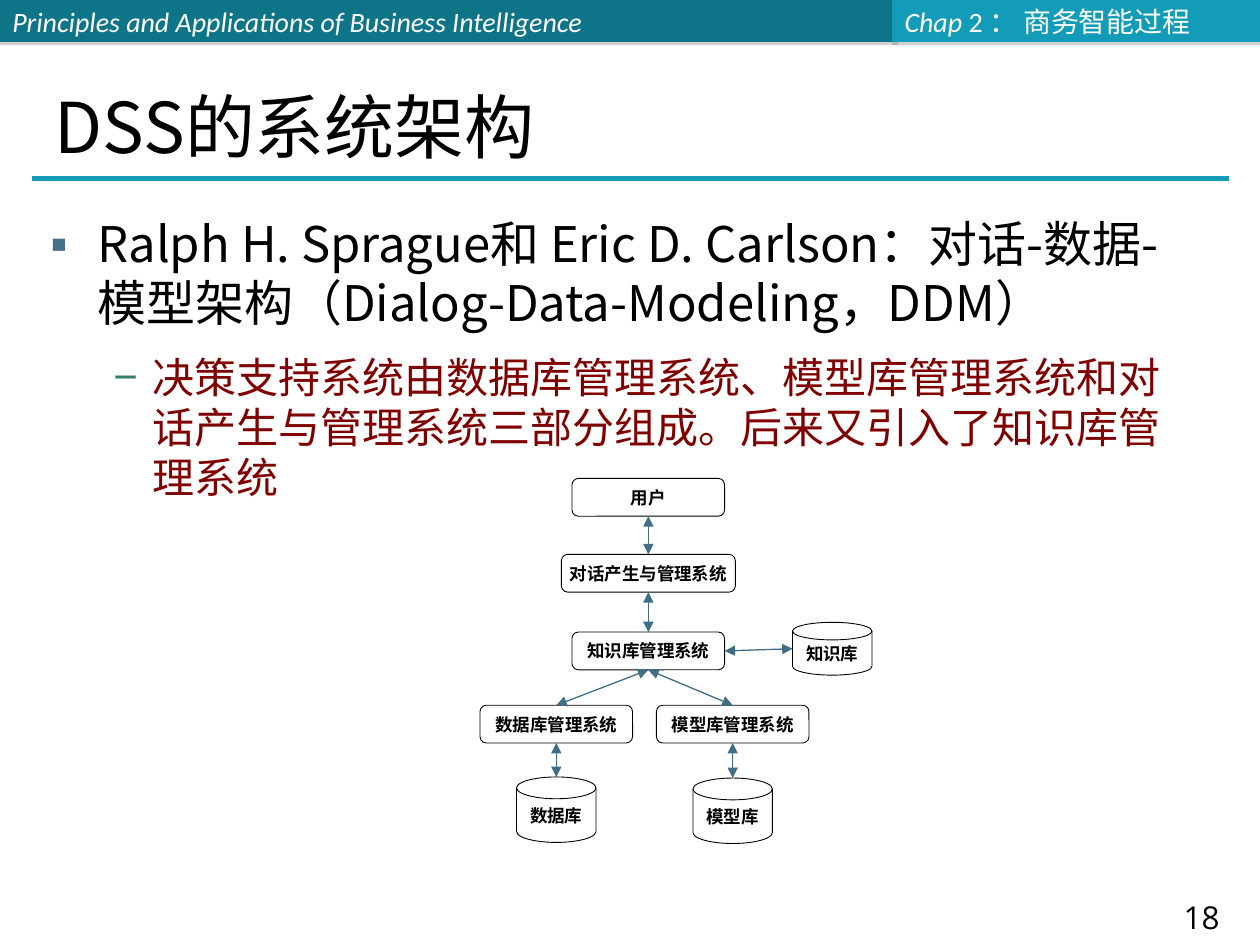
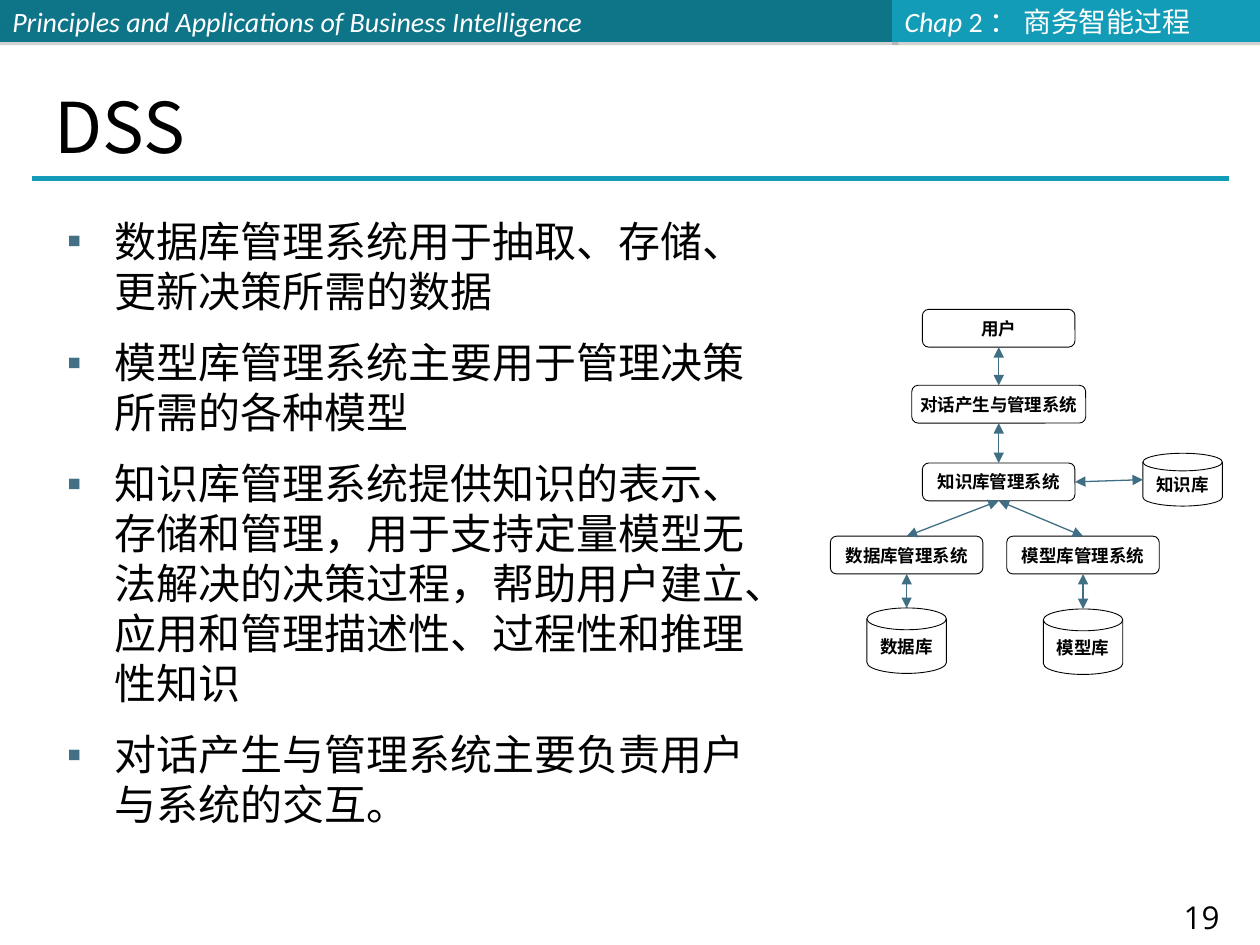
from lxml.etree import SubElement
from pptx import Presentation
from pptx.dml.color import RGBColor
from pptx.enum.shapes import MSO_CONNECTOR, MSO_SHAPE
from pptx.enum.text import MSO_ANCHOR, MSO_AUTO_SIZE, PP_ALIGN
from pptx.oxml.ns import qn
from pptx.util import Pt

# Shared look
DARK_TEAL, TEAL, ARROW_BLUE = "0E7589", "139CB7", "406E84"
BLACK, WHITE, MAROON, SHADOW_GRAY = "000000", "FFFFFF", "800000", "808080"
CJK_FONT = "Noto Sans CJK SC"
BAND_TEXT = {"name": "Calibri", "size": Pt(16), "color": WHITE}
NODE_TEXT = {"name": "Calibri", "size": Pt(10), "bold": True, "color": BLACK}
NUMBER_TEXT = {"name": "Open Sans", "size": Pt(18), "color": BLACK}
TITLE_TEXT = {"name": CJK_FONT, "size": Pt(40), "color": BLACK}
PLAIN_FRAME = {"word_wrap": True, "auto_size": MSO_AUTO_SIZE.NONE}
LINE_HEIGHT = 1.19  # line pitch relative to the text size

# List levels: left indent, hanging indent, bullet, bullet colour
LEVELS = [(27, 27, "▪", "437085"), (58.3, 22.3, "−", "357E69")]

# Diagram nodes: centre x, top, width, height, relative to the diagram's corner
BOX, DISK = MSO_SHAPE.ROUNDED_RECTANGLE, MSO_SHAPE.FLOWCHART_MAGNETIC_DISK
NODES = {
    "数据库": (DISK, 43.6, 170.6, 45.4, 37.4),
    "模型库": (DISK, 144.4, 171.2, 45.4, 37.4),
    "知识库": (DISK, 201.3, 82.2, 45.4, 30.2),
    "数据库管理系统": (BOX, 43.6, 129.6, 87.2, 21.6),
    "模型库管理系统": (BOX, 144.4, 129.6, 87.2, 21.6),
    "知识库管理系统": (BOX, 96.2, 87.8, 87.2, 21.6),
    "对话产生与管理系统": (BOX, 96.2, 43.4, 99.4, 21.6),
    "用户": (BOX, 96.2, 0, 87.2, 21.6),
}
# Links run from the top of the lower node to the bottom of the upper one
VERTICAL_LINKS = [
    ("数据库", "数据库管理系统"),
    ("模型库", "模型库管理系统"),
    ("数据库管理系统", "知识库管理系统"),
    ("模型库管理系统", "知识库管理系统"),
    ("知识库管理系统", "对话产生与管理系统"),
    ("对话产生与管理系统", "用户"),
]

SLIDES = [
    {
        "number": 18,
        "title": "DSS的系统架构",
        "body_box": (21.6, 116, 664.5, 381),
        "items": [
            (0, 28, BLACK, "Ralph H. Sprague和 Eric D. Carlson：对话-数据-模型架构"
                           "（Dialog-Data-Modeling，DDM）"),
            (1, 24, MAROON, "决策支持系统由数据库管理系统、模型库管理系统和对话产生与管理系统"
                            "三部分组成。后来又引入了知识库管理系统"),
        ],
        "diagram_corner": (274.3, 273.4),
    },
    {
        "number": 19,
        "title": "DSS",
        "body_box": (31, 116.6, 422.6, 381),
        "items": [(0, 24, BLACK, text) for text in (
            "数据库管理系统用于抽取、存储、更新决策所需的数据",
            "模型库管理系统主要用于管理决策所需的各种模型",
            "知识库管理系统提供知识的表示、存储和管理，用于支持定量模型无法解决的"
            "决策过程，帮助用户建立、应用和管理描述性、过程性和推理性知识",
            "对话产生与管理系统主要负责用户与系统的交互。",
        )],
        "diagram_corner": (474.5, 176.8),
    },
]


def color(hex_text):
    return RGBColor.from_string(hex_text)


def set_values(target, values):
    for name, value in values.items():
        setattr(target, name, value)


def points(*lengths):
    return [Pt(length) for length in lengths]


def place(shape, box):
    set_values(shape, dict(zip(("left", "top", "width", "height"), points(*box))))


def add_run(paragraph, text, style, **extra):
    run = paragraph.add_run()
    run.text = text
    values = {**style, **extra}
    run.font.color.rgb = color(values.pop("color"))
    set_values(run.font, values)
    if values["name"] == CJK_FONT:
        SubElement(run.font._element, qn("a:ea"), typeface=CJK_FONT)


def add_filled_shape(shapes, kind, box, fill):
    shape = shapes.add_shape(kind, *points(*box))
    shape.shadow.inherit = False
    shape.fill.solid()
    shape.fill.fore_color.rgb = color(fill)
    shape.line.fill.background()
    shape.text_frame.vertical_anchor = MSO_ANCHOR.MIDDLE
    return shape


def add_line(shapes, start, end, line_color, width):
    connector = shapes.add_connector(MSO_CONNECTOR.STRAIGHT, *points(*start, *end))
    connector.line.color.rgb = color(line_color)
    connector.line.width = Pt(width)
    SubElement(connector._element.spPr, qn("a:effectLst"))
    return connector


def add_band(slide, box, fill, runs):
    band = add_filled_shape(slide.shapes, MSO_SHAPE.RECTANGLE, box, fill)
    effects = band._element.spPr.find(qn("a:effectLst"))
    shadow = SubElement(effects, qn("a:outerShdw"), dist=str(Pt(1.8)),
                        dir="5400000", rotWithShape="0")
    shade = SubElement(shadow, qn("a:srgbClr"), val=SHADOW_GRAY)
    SubElement(shade, qn("a:alpha"), val="35000")
    paragraph = band.text_frame.paragraphs[0]
    paragraph.alignment = PP_ALIGN.LEFT
    for text, italic in runs:
        add_run(paragraph, text, BAND_TEXT, italic=italic)


def add_frame(slide, number):
    # Header bands
    add_band(slide, (0, 0, 513.4, 24), DARK_TEAL,
             [("Principles and Applications of Business Intelligence", True)])
    add_band(slide, (509.8, 0, 211.7, 24), TEAL,
             [("Chap ", True), ("2 ： 商务智能过程", False)])
    # Page number
    number_box = slide.shapes.add_textbox(*points(648, 511, 72.7, 27.4))
    number_box.text_frame.word_wrap = True
    paragraph = number_box.text_frame.paragraphs[0]
    set_values(paragraph, {"alignment": PP_ALIGN.CENTER, "line_spacing": Pt(20)})
    add_run(paragraph, f" {number}", NUMBER_TEXT)
    # Rule under the title
    add_line(slide.shapes, (18, 102.2), (702, 102.2), TEAL, 3)


def fill_title(title, text):
    place(title, (24, 24, 672, 72))
    set_values(title.text_frame, {**PLAIN_FRAME, "vertical_anchor": MSO_ANCHOR.BOTTOM,
                                  "margin_bottom": 0})
    paragraph = title.text_frame.paragraphs[0]
    paragraph.alignment = PP_ALIGN.LEFT
    add_run(paragraph, text, TITLE_TEXT)


def add_bullet(paragraph, level):
    left, hanging, character, bullet_color = LEVELS[level]
    properties = paragraph._p.get_or_add_pPr()
    properties.set("marL", str(Pt(left)))
    properties.set("indent", str(-Pt(hanging)))
    bullet_fill = SubElement(properties, qn("a:buClr"))
    SubElement(bullet_fill, qn("a:srgbClr"), val=bullet_color)
    SubElement(properties, qn("a:buChar"), char=character)


def fill_list(body, box, items):
    place(body, box)
    frame = body.text_frame
    set_values(frame, {**PLAIN_FRAME, "margin_top": Pt(6.6)})
    for index, (level, size, text_color, text) in enumerate(items):
        paragraph = frame.add_paragraph() if index else frame.paragraphs[0]
        add_bullet(paragraph, level)
        set_values(paragraph, {"level": level, "space_before": Pt(12 if index else 0),
                               "line_spacing": Pt(round(size * LINE_HEIGHT, 1))})
        add_run(paragraph, text, {"name": CJK_FONT, "size": Pt(size), "color": text_color})


def add_node(shapes, kind, box, text):
    node = add_filled_shape(shapes, kind, box, WHITE)
    node.line.color.rgb = color(BLACK)
    node.line.width = Pt(0.5)
    sides = ("left", "top", "right", "bottom")
    set_values(node.text_frame, {f"margin_{side}": 0 for side in sides})
    paragraph = node.text_frame.paragraphs[0]
    paragraph.alignment = PP_ALIGN.CENTER
    add_run(paragraph, text, NODE_TEXT)


def add_double_arrow(shapes, start, end):
    arrow = add_line(shapes, start, end, ARROW_BLUE, 0.75)
    outline = arrow.line._get_or_add_ln()
    for tip in ("a:headEnd", "a:tailEnd"):
        SubElement(outline, qn(tip), type="triangle")


def add_architecture(slide, corner):
    shapes = slide.shapes.add_group_shape().shapes
    boxes = {}
    for text, (kind, center, top, width, height) in NODES.items():
        boxes[text] = (corner[0] + center - width / 2, corner[1] + top, width, height)
        add_node(shapes, kind, boxes[text], text)
    # Links between layers
    for lower, upper in VERTICAL_LINKS:
        low_left, low_top, low_width, _ = boxes[lower]
        left, top, width, height = boxes[upper]
        add_double_arrow(shapes, (low_left + low_width / 2, low_top),
                         (left + width / 2, top + height))
    # Sideways link to the knowledge base
    disk_left, disk_top, _, disk_height = boxes["知识库"]
    left, top, width, height = boxes["知识库管理系统"]
    add_double_arrow(shapes, (disk_left, disk_top + disk_height / 2),
                     (left + width, top + height / 2))


def add_content_slide(presentation, content):
    slide = presentation.slides.add_slide(presentation.slide_layouts[1])
    add_frame(slide, content["number"])
    fill_title(slide.shapes.title, content["title"])
    fill_list(slide.placeholders[1], content["body_box"], content["items"])
    add_architecture(slide, content["diagram_corner"])


def main():
    presentation = Presentation()
    set_values(presentation, {"slide_width": Pt(720), "slide_height": Pt(540)})
    for content in SLIDES:
        add_content_slide(presentation, content)
    presentation.save("out.pptx")


if __name__ == "__main__":
    main()
